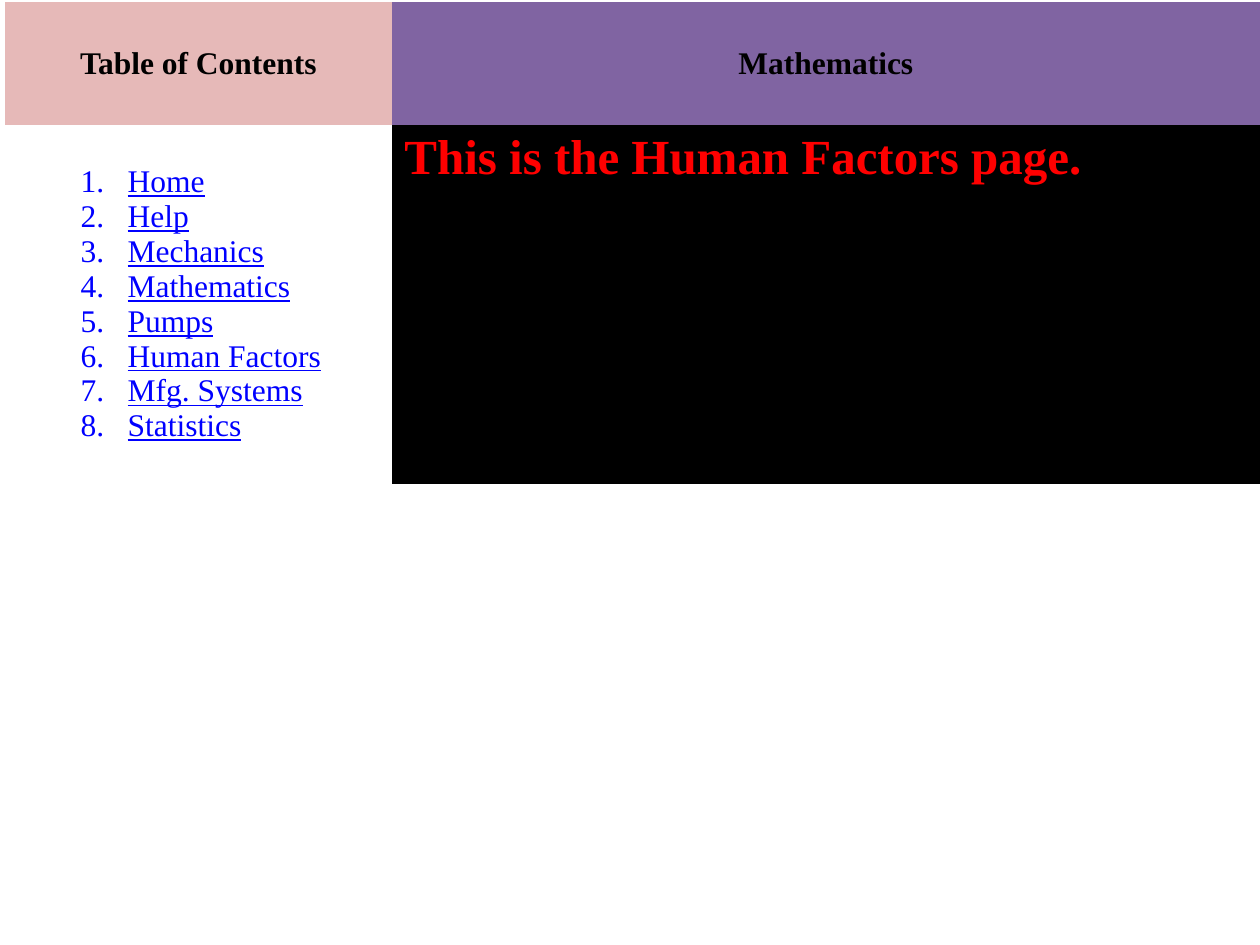
"""Build a slide with a table of contents beside a page panel."""
from dataclasses import dataclass
from typing import Optional

from lxml import etree
from pptx import Presentation
from pptx import util as u
from pptx.dml.color import RGBColor
from pptx.enum import text
from pptx.oxml import ns

BLACK = RGBColor(0x00, 0x00, 0x00)
PINK = RGBColor(0xE6, 0xB9, 0xB8)
PURPLE = RGBColor(0x80, 0x64, 0xA2)
LINK_BLUE = RGBColor(0x00, 0x00, 0xFF)
RED = RGBColor(0xFF, 0x00, 0x00)
FONT_NAME = "Times New Roman"
PLAIN_TABLE_STYLE = "{2D5ABB26-0587-4C30-8999-92F81FD0307C}"
COLUMN_WIDTHS = (u.Cm(7.8), u.Cm(17.5))
ROW_HEIGHTS = (u.Cm(2.46), u.Cm(7.24))


@dataclass
class CellContent:
    lines: tuple[str, ...]
    color: RGBColor
    fill: Optional[RGBColor] = None
    size: int = 18
    bold: bool = True
    underline: bool = False
    numbered: bool = False
    align: text.PP_ALIGN = text.PP_ALIGN.LEFT
    anchor: text.MSO_ANCHOR = text.MSO_ANCHOR.MIDDLE


PAGES = ("Home", "Help", "Mechanics", "Mathematics", "Pumps",
         "Human Factors", "Mfg. Systems", "Statistics")
CONTENTS = (
    (CellContent(("Table of Contents",), BLACK, PINK, align=text.PP_ALIGN.CENTER),
     CellContent(("Mathematics",), BLACK, PURPLE, align=text.PP_ALIGN.CENTER)),
    (CellContent(PAGES, LINK_BLUE, bold=False, underline=True, numbered=True),
     CellContent(("This is the Human Factors page.",), RED, BLACK, size=28,
                 anchor=text.MSO_ANCHOR.TOP)),
)


def number_paragraph(paragraph) -> None:
    """Give a paragraph automatic numbering with a hanging indent."""
    paragraph.level = 1
    properties = paragraph._p.get_or_add_pPr()
    properties.set("marL", str(u.Cm(2.22)))
    properties.set("indent", str(u.Cm(-0.95)))
    etree.SubElement(properties, ns.qn("a:buFont"), typeface="+mj-lt")
    etree.SubElement(properties, ns.qn("a:buAutoNum"), type="arabicPeriod")


def fill_cell(cell, content: CellContent) -> None:
    """Write the lines of one cell and format them."""
    cell.vertical_anchor = content.anchor
    if content.fill is None:
        cell.fill.background()
    else:
        cell.fill.solid()
        cell.fill.fore_color.rgb = content.fill
    font_format = {"name": FONT_NAME, "size": u.Pt(content.size),
                   "bold": content.bold, "underline": content.underline}
    cell.text_frame.text = "\n".join(content.lines)
    for paragraph in cell.text_frame.paragraphs:
        paragraph.alignment = content.align
        if content.numbered:
            number_paragraph(paragraph)
        font = paragraph.runs[0].font
        for attribute, value in font_format.items():
            setattr(font, attribute, value)
        font.color.rgb = content.color


def add_page_table(slide) -> None:
    """Add the table that frames the whole page."""
    frame = slide.shapes.add_table(
        len(ROW_HEIGHTS), len(COLUMN_WIDTHS), u.Cm(0.1), u.Cm(0.05),
        sum(COLUMN_WIDTHS), sum(ROW_HEIGHTS))
    table = frame.table
    table.first_row = table.horz_banding = False
    table._tbl.tblPr.find(ns.qn("a:tableStyleId")).text = PLAIN_TABLE_STYLE
    for column, width in zip(table.columns, COLUMN_WIDTHS):
        column.width = width
    for row, height, contents in zip(table.rows, ROW_HEIGHTS, CONTENTS):
        row.height = height
        for cell, content in zip(row.cells, contents):
            fill_cell(cell, content)


def main() -> None:
    """Create and save the presentation."""
    presentation = Presentation()
    presentation.slide_width = u.Cm(25.4)
    presentation.slide_height = u.Cm(19.05)
    slide = presentation.slides.add_slide(presentation.slide_layouts[6])
    add_page_table(slide)
    presentation.save("out.pptx")


if __name__ == "__main__":
    main()
